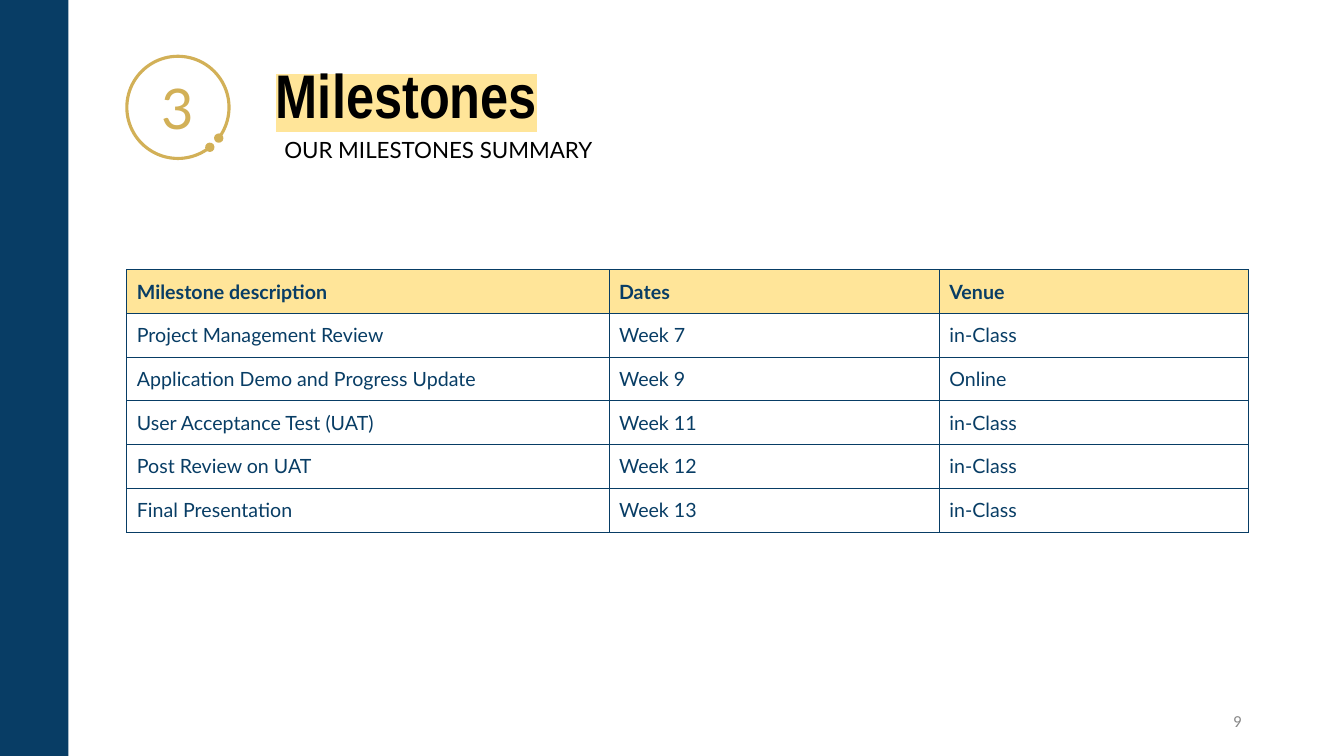
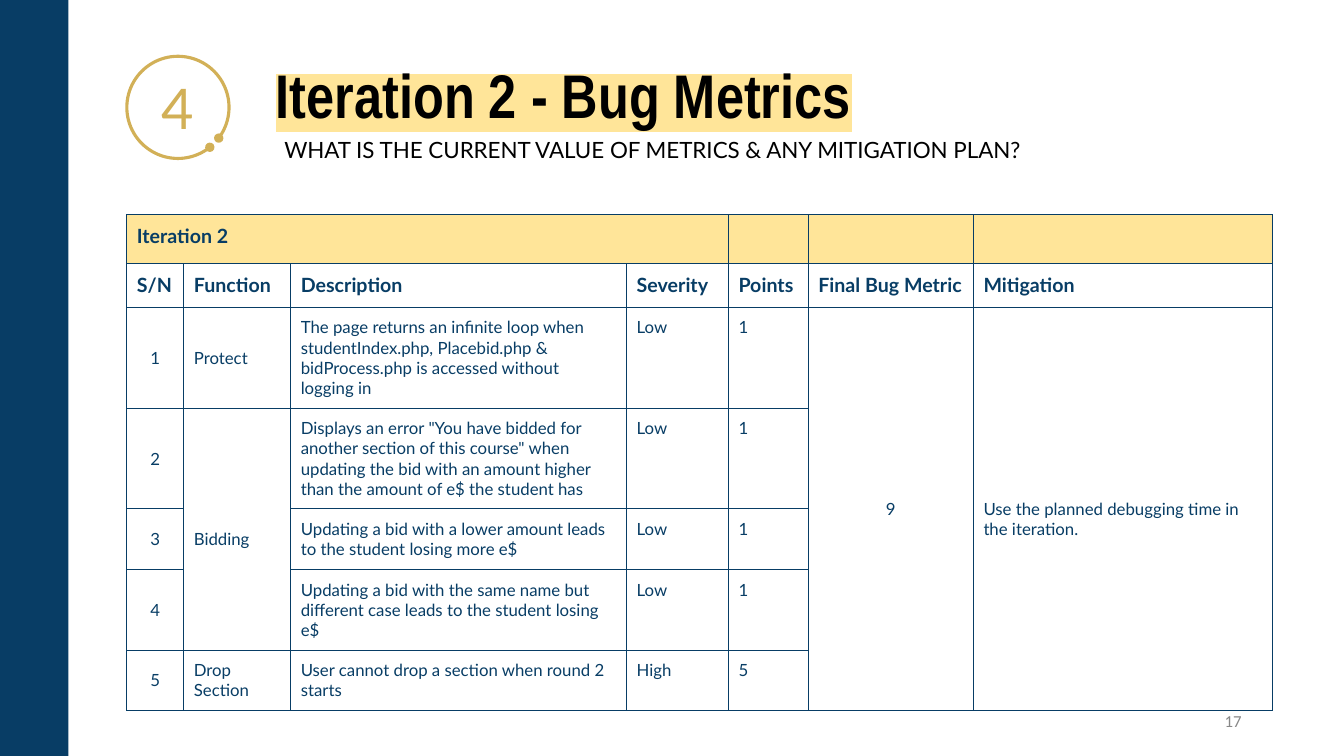
from pptx import Presentation
from pptx.dml.color import RGBColor
from pptx.enum.shapes import MSO_SHAPE
from pptx.enum.text import MSO_ANCHOR, PP_ALIGN
from pptx.oxml import parse_xml
from pptx.oxml.ns import nsdecls, qn
from pptx.util import Pt

COLORS = {
    "navy": "083D65", "gold": "D2B057", "sand": "FFE599",
    "black": "000000", "gray": "888888", "white": "FFFFFF",
}
TOP, MID, LOW = MSO_ANCHOR.TOP, MSO_ANCHOR.MIDDLE, MSO_ANCHOR.BOTTOM
LEFT, MIDDLE, RIGHT = PP_ALIGN.LEFT, PP_ALIGN.CENTER, PP_ALIGN.RIGHT
PAD = 7.2
EDGE = 90.6

# heads: bold rows; size: body text size; merges: row, column, rows, columns
# center, middle: body columns centred across and down; drop: cells set one line lower
SLIDES = [
    {
        "number": "3",
        "title": "Milestones",
        "subtitle": "OUR MILESTONES SUMMARY",
        "page": "9",
        "table": {
            "top": 192.6,
            "cols": [344.4, 236, 221],
            "heights": [31.2] * 6,
            "heads": 1,
            "size": 14,
            "merges": [],
            "center": (),
            "middle": (),
            "drop": (),
            "rows": [
                ["Milestone description", "Dates", "Venue"],
                ["Project Management Review", "Week 7", "in-Class"],
                ["Application Demo and Progress Update", "Week 9", "Online"],
                ["User Acceptance Test (UAT)", "Week 11", "in-Class"],
                ["Post Review on UAT", "Week 12", "in-Class"],
                ["Final Presentation", "Week 13", "in-Class"],
            ],
        },
    },
    {
        "number": "4",
        "title": "Iteration 2 - Bug Metrics",
        "subtitle": "WHAT IS THE CURRENT VALUE OF METRICS & ANY MITIGATION PLAN?",
        "page": "17",
        "table": {
            "top": 153.2,
            "cols": [40.7, 76.4, 239.9, 72.8, 57, 118, 213.9],
            "heights": [35, 31, 72, 72, 43, 57.6, 43],
            "heads": 2,
            "size": 12,
            "merges": [(0, 0, 1, 4), (3, 1, 3, 1), (2, 5, 5, 1), (2, 6, 5, 1)],
            "center": (0, 5),
            "middle": (0, 1, 5, 6),
            "drop": ((3, 1), (2, 6)),
            "rows": [
                ["Iteration 2"] + [None] * 6,
                ["S/N", "Function", "Description", "Severity", "Points",
                 "Final Bug Metric", "Mitigation"],
                ["1", "Protect",
                 "The page returns an infinite loop when studentIndex.php, "
                 "Placebid.php & bidProcess.php is accessed without logging in",
                 "Low", "1", "9",
                 "Use the planned debugging time in the iteration."],
                ["2", "Bidding",
                 'Displays an error "You have bidded for another section of this '
                 'course" when updating the bid with an amount higher than the '
                 'amount of e$ the student has',
                 "Low", "1", None, None],
                ["3", None,
                 "Updating a bid with a lower amount leads to the student "
                 "losing more e$",
                 "Low", "1", None, None],
                ["4", None,
                 "Updating a bid with the same name but different case leads "
                 "to the student losing e$",
                 "Low", "1", None, None],
                ["5", "Drop Section",
                 "User cannot drop a section when round 2 starts",
                 "High", "5", None, None],
            ],
        },
    },
]


def rgb(name):
    return RGBColor.from_string(COLORS[name])


def write(frame, text, size, color, font="Lato", bold=False, align=LEFT):
    para = frame.paragraphs[0]
    para.alignment = align
    run = para.add_run()
    run.text = text
    run.font.size = Pt(size)
    run.font.bold = bold
    run.font.color.rgb = rgb(color)
    run.font.name = font
    return run


def add_text(slide, box, text, size, color, anchor=TOP, pad=3.6, **style):
    frame = slide.shapes.add_textbox(*map(Pt, box)).text_frame
    frame.word_wrap = True
    frame.vertical_anchor = anchor
    frame.margin_left = frame.margin_right = Pt(PAD)
    frame.margin_top = frame.margin_bottom = Pt(pad)
    return write(frame, text, size, color, **style)


def mark(run, color):
    """Highlight a run; the tag must stand between its fill and its font."""
    tag = parse_xml(f'<a:highlight {nsdecls("a")}>'
                    f'<a:srgbClr val="{COLORS[color]}"/></a:highlight>')
    run.font._element.find(qn("a:solidFill")).addnext(tag)


def add_band(slide):
    band = slide.shapes.add_shape(MSO_SHAPE.RECTANGLE, 0, 0, Pt(48.8), Pt(540))
    band.shadow.inherit = False
    band.fill.solid()
    band.fill.fore_color.rgb = rgb("navy")
    band.line.fill.background()


def add_badge(slide, number):
    """Draw the section number in an almost closed ring with dotted ends."""
    ring = slide.shapes.add_shape(MSO_SHAPE.ARC, Pt(EDGE), Pt(40.2), Pt(73), Pt(73))
    ring.adjustments[0] = 30.83
    ring.adjustments[1] = 22.19
    ring.shadow.inherit = False
    ring.fill.background()
    ring.line.color.rgb = rgb("gold")
    ring.line.width = Pt(2.25)
    line = ring.line._get_or_add_ln()
    for end in ("headEnd", "tailEnd"):
        line.append(parse_xml(f'<a:{end} {nsdecls("a")} type="oval"/>'))
    ring.text_frame.vertical_anchor = MID
    write(ring.text_frame, number, 40, "gold", align=MIDDLE)


def add_borders(cell):
    props = cell._tc.get_or_add_tcPr()
    for side in ("lnL", "lnR", "lnT", "lnB"):
        props.append(parse_xml(
            f'<a:{side} {nsdecls("a")} w="{Pt(0.75)}"><a:solidFill>'
            f'<a:srgbClr val="{COLORS["navy"]}"/></a:solidFill></a:{side}>'))


def fill_cell(cell, text, row, col, data):
    add_borders(cell)
    if row == 0:
        cell.fill.solid()
        cell.fill.fore_color.rgb = rgb("sand")
    else:
        cell.fill.background()
    if text is None:
        return
    head = row < data["heads"]
    size = 14 if head else data["size"]
    cell.margin_left = cell.margin_right = cell.margin_bottom = Pt(PAD)
    cell.margin_top = Pt(PAD + (1.2 * size if (row, col) in data["drop"] else 0))
    cell.vertical_anchor = MID if not head and col in data["middle"] else TOP
    align = MIDDLE if not head and col in data["center"] else LEFT
    write(cell.text_frame, text, size, "navy", bold=head, align=align)


def add_grid(slide, data):
    rows, cols, heights = data["rows"], data["cols"], data["heights"]
    table = slide.shapes.add_table(
        len(rows), len(cols), Pt(EDGE), Pt(data["top"]),
        Pt(sum(cols)), Pt(sum(heights))).table
    table.first_row = table.horz_banding = False
    for column, width in zip(table.columns, cols):
        column.width = Pt(width)
    for line, height in zip(table.rows, heights):
        line.height = Pt(height)
    for row, texts in enumerate(rows):
        for col, text in enumerate(texts):
            fill_cell(table.cell(row, col), text, row, col, data)
    for row, col, down, across in data["merges"]:
        last = table.cell(row + down - 1, col + across - 1)
        table.cell(row, col).merge(last)


def add_slide(deck, data):
    slide = deck.slides.add_slide(deck.slide_layouts[6])
    slide.background.fill.solid()
    slide.background.fill.fore_color.rgb = rgb("white")
    add_band(slide)
    title = add_text(slide, (190, 18.7, 680, 78.5), data["title"], 44, "black",
                     anchor=LOW, font="Arial Narrow", bold=True)
    mark(title, "sand")
    slide.shapes[-1].text_frame.paragraphs[0].line_spacing = 0.85
    add_text(slide, (196, 90, 580, 34), data["subtitle"], 16, "black", pad=PAD)
    add_grid(slide, data["table"])
    add_text(slide, (678, 500.4, 216, 28.8), data["page"], 12, "gray",
             anchor=MID, font="Calibri", align=RIGHT)
    add_badge(slide, data["number"])


def main():
    deck = Presentation()
    deck.slide_width, deck.slide_height = Pt(960), Pt(540)
    for data in SLIDES:
        add_slide(deck, data)
    deck.save("out.pptx")


if __name__ == "__main__":
    main()
